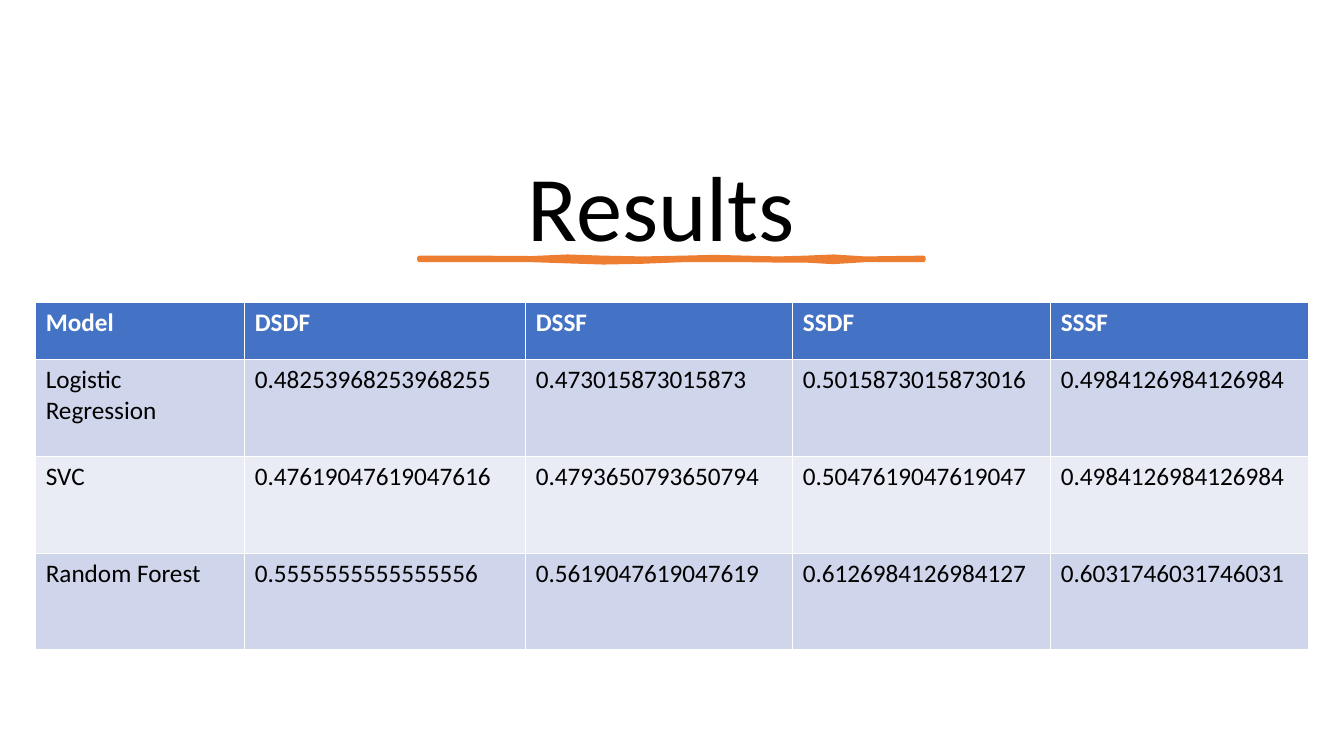
from lxml.etree import SubElement
from pptx import Presentation
from pptx.dml.color import RGBColor
from pptx.enum.text import MSO_ANCHOR, MSO_AUTO_SIZE, PP_ALIGN
from pptx.oxml.ns import qn
from pptx.util import Cm, Pt

COLORS = {
    "text": "000000",
    "header text": "FFFFFF",
    "header": "4472C4",
    "odd row": "CFD5EA",
    "even row": "E9EBF5",
    "underline": "ED7D31",
}
FONT = "Calibri"


def color(name):
    return RGBColor.from_string(COLORS[name])


def add_span(para, text, size, color_name, bold=False):
    span = para.add_run()
    span.text = text
    span.font.name = FONT
    span.font.size = Pt(size)
    span.font.bold = bold
    span.font.color.rgb = color(color_name)


deck = Presentation()
deck.slide_width = Cm(33.87)
deck.slide_height = Cm(19.05)
page = deck.slides.add_slide(deck.slide_layouts[5])

# Title
title = page.shapes.title
title.left, title.top, title.width, title.height = Cm(1.78), Cm(2.77), Cm(30.3), Cm(3.94)
title.text_frame.auto_size = MSO_AUTO_SIZE.NONE
title.text_frame.word_wrap = True
title.text_frame.vertical_anchor = MSO_ANCHOR.BOTTOM
para = title.text_frame.paragraphs[0]
para.alignment = PP_ALIGN.CENTER
para.line_spacing = 0.9
add_span(para, "Results ", 66, "text")

# Hand-drawn underline: x, upper edge and lower edge in centimetres
stroke = [
    (10.57, 6.50, 6.55), (12.0, 6.50, 6.55), (13.4, 6.51, 6.55), (14.3, 6.47, 6.58),
    (15.2, 6.50, 6.61), (16.2, 6.52, 6.59), (17.2, 6.50, 6.55), (18.0, 6.48, 6.55),
    (18.8, 6.50, 6.55), (19.6, 6.52, 6.56), (20.3, 6.50, 6.56), (21.0, 6.47, 6.60),
    (21.8, 6.52, 6.55), (23.27, 6.50, 6.55),
]
upper_edge = [(Cm(x), Cm(top)) for x, top, bottom in stroke]
lower_edge = [(Cm(x), Cm(bottom)) for x, top, bottom in reversed(stroke)]
builder = page.shapes.build_freeform(*upper_edge[0])
builder.add_line_segments(upper_edge[1:] + lower_edge, close=True)
underline = builder.convert_to_shape()
underline.shadow.inherit = False
underline.fill.solid()
underline.fill.fore_color.rgb = color("underline")
underline.line.color.rgb = color("underline")
underline.line.width = Pt(3.25)
SubElement(underline.line._get_or_add_ln(), qn("a:round"))

# Results table; the default table style draws the white borders
results = [
    ("Model", "DSDF", "DSSF", "SSDF", "SSSF"),
    ("Logistic Regression", "0.48253968253968255", "0.473015873015873",
     "0.5015873015873016", "0.4984126984126984"),
    ("SVC", "0.47619047619047616", "0.4793650793650794",
     "0.5047619047619047", "0.4984126984126984"),
    ("Random Forest", "0.5555555555555556", "0.5619047619047619",
     "0.6126984126984127", "0.6031746031746031"),
]
column_widths = [5.27, 7.08, 6.73, 6.5, 6.5]
row_heights = [1.44, 2.44, 2.44, 2.44]
table = page.shapes.add_table(
    len(row_heights), len(column_widths), Cm(0.9), Cm(7.62),
    Cm(sum(column_widths)), Cm(sum(row_heights)),
).table
for column, width in zip(table.columns, column_widths):
    column.width = Cm(width)
for row_index, (row, height, values) in enumerate(zip(table.rows, row_heights, results)):
    row.height = Cm(height)
    is_header = row_index == 0
    if is_header:
        fill_name = "header"
    else:
        fill_name = "odd row" if row_index % 2 else "even row"
    for cell, value in zip(row.cells, values):
        cell.fill.solid()
        cell.fill.fore_color.rgb = color(fill_name)
        text_color = "header text" if is_header else "text"
        add_span(cell.text_frame.paragraphs[0], value, 18, text_color, is_header)

deck.save("out.pptx")
